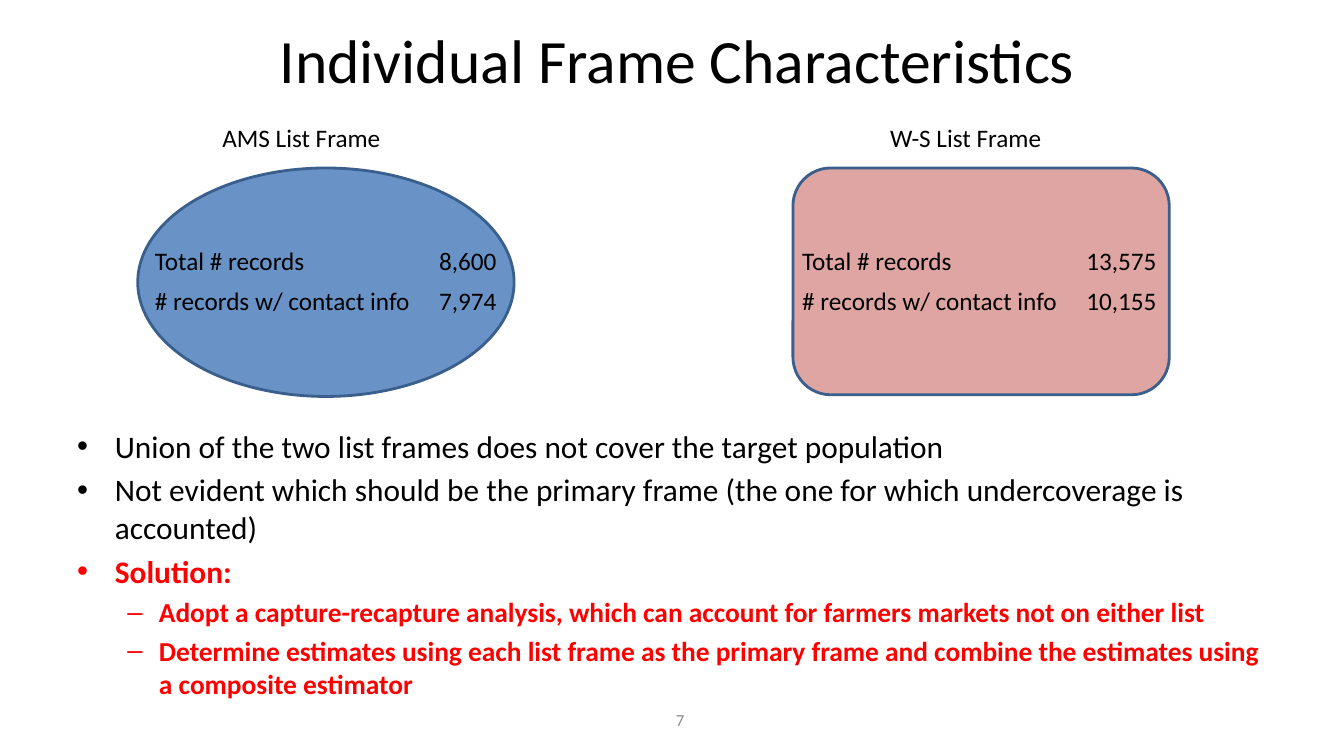
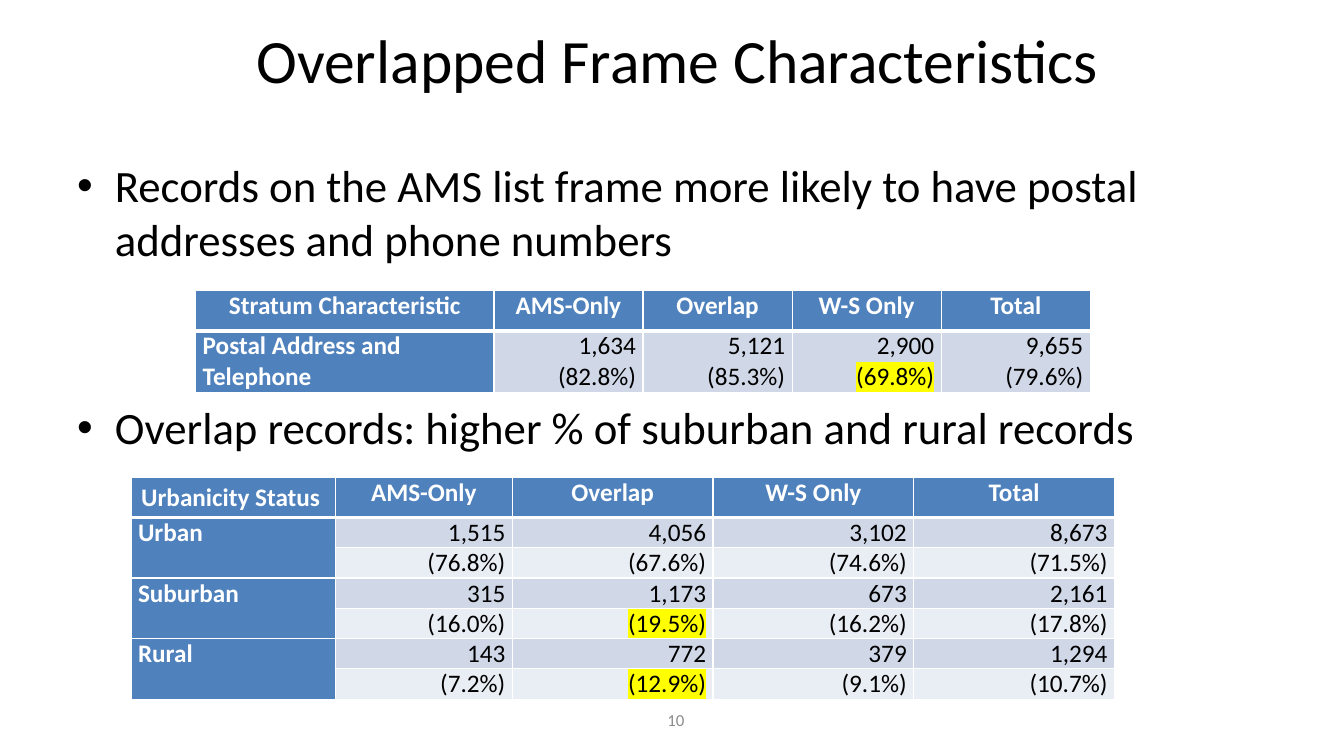
from dataclasses import dataclass

from lxml import etree
from pptx import Presentation
from pptx.dml.color import RGBColor
from pptx.enum.shapes import MSO_SHAPE as Shape
from pptx.enum.text import MSO_ANCHOR as Anchor, PP_ALIGN as Align
from pptx.oxml import parse_xml
from pptx.oxml.ns import nsdecls, qn
from pptx.util import Emu, Inches, Pt

COLUMNS, ROWS = 160, 90
CELL = Inches(7.5) // ROWS  # the grid is square


@dataclass(frozen=True)
class Theme:
    font: str = "Calibri"
    ink: str = "000000"
    muted: str = "8C8C8C"
    alert: str = "FF0000"
    white: str = "FFFFFF"
    blue: str = "4F81BD"
    rose: str = "D99694"
    outline: str = "3A5F8C"
    band_dark: str = "D0D8E8"
    band_light: str = "E9EDF4"
    marker: str = "FFFF00"
    title: float = 44
    large: float = 32
    body: float = 22.4
    sub: float = 19.6
    label: float = 18
    footer: float = 12


THEME = Theme()
PLAIN_TABLE = "{2D5ABB26-0587-4C30-8999-92F81FD0307C}"


@dataclass(frozen=True)
class Box:
    """A region in grid columns and rows."""
    col: float
    row: float
    cols: float
    rows: float

    def inner(self, col, row, cols, rows):
        return Box(self.col + col, self.row + row, cols, rows)

    def emu(self):
        return [grid(n) for n in (self.col, self.row, self.cols, self.rows)]


def grid(count):
    return Emu(round(count * CELL))


TITLE = Box(13.33, 0, 134.67, 14)
PAGE_NUMBER = Box(45.33, 83.33, 37.33, 4.8)


def write(paragraph, text, size=THEME.label, color=THEME.ink, bold=False,
          align=Align.LEFT, before=0, marked=""):
    """Write text into a paragraph; its ending `marked` is highlighted."""
    paragraph.alignment = align
    if before:
        paragraph.space_before = Pt(before)
    for words in filter(None, (text.removesuffix(marked), marked)):
        run = paragraph.add_run()
        run.text = words
        font = run.font
        font.size, font.bold = Pt(size), bold
        font.color.rgb = RGBColor.from_string(color)
        if words == marked:
            highlight = etree.SubElement(font._element, qn("a:highlight"))
            etree.SubElement(highlight, qn("a:srgbClr"), val=THEME.marker)
        font.name = THEME.font


def add_text(slide, box, text, anchor=Anchor.TOP, **style):
    frame = text_frame(slide, box, anchor)
    write(frame.paragraphs[0], text, **style)


def text_frame(slide, box, anchor=Anchor.TOP):
    frame = slide.shapes.add_textbox(*box.emu()).text_frame
    frame.word_wrap = True
    frame.vertical_anchor = anchor
    return frame


def add_bullets(slide, box, items):
    """Items are (text, level, style) triples."""
    frame = text_frame(slide, box)
    for index, (text, level, style) in enumerate(items):
        paragraph = frame.add_paragraph() if index else frame.paragraphs[0]
        indent, hang, sign = ((4.5, 4.5, "•"), (9.75, 3.75, "–"))[level]
        properties = paragraph._p.get_or_add_pPr()
        properties.set("marL", str(grid(indent)))
        properties.set("indent", str(-grid(hang)))
        etree.SubElement(properties, qn("a:buFont"), typeface="Arial")
        etree.SubElement(properties, qn("a:buChar"), char=sign)
        write(paragraph, text, **style)


def new_slide(deck, title, number):
    slide = deck.slides.add_slide(deck.slide_layouts[6])
    add_text(slide, TITLE, title, Anchor.MIDDLE, size=THEME.title, align=Align.CENTER)
    add_text(slide, PAGE_NUMBER, number, Anchor.MIDDLE, size=THEME.footer,
             color=THEME.muted, align=Align.RIGHT)
    return slide


def add_plain_table(slide, box, widths, heights):
    table_frame = slide.shapes.add_table(len(heights), len(widths), *box.emu())
    table = table_frame.table
    table.first_row = table.horz_banding = False
    table._tbl.tblPr.find(qn("a:tableStyleId")).text = PLAIN_TABLE
    for column, width in zip(table.columns, widths):
        column.width = grid(width)
    for row, height in zip(table.rows, heights):
        row.height = grid(height)
    return table


def add_list_frame(slide, box, outline, fill, name, name_at, records, records_at):
    """A named, tinted shape with its record counts inside."""
    shape = slide.shapes.add_shape(outline, *box.emu())
    shape.shadow.inherit = False
    shape.fill.solid()
    shape.fill.fore_color.rgb = RGBColor.from_string(fill)
    tint = shape._element.spPr.find(qn("a:solidFill"))[0]
    etree.SubElement(tint, qn("a:alpha"), val="85000")
    shape.line.color.rgb = RGBColor.from_string(THEME.outline)
    shape.line.width = Pt(2)
    add_text(slide, box.inner(name_at, -6, 27.6, 4.8), name)

    table = add_plain_table(slide, box.inner(records_at, 8.7, 44.8, 9.6),
                            (33.84, 10.96), (4.8, 4.8))
    for r, record in enumerate(zip(("Total # records", "# records w/ contact info"), records)):
        for c, text in enumerate(record):
            write(table.cell(r, c).text_frame.paragraphs[0], text)


def draw_borders(cell, **widths):
    """Draw the four sides (L, R, T, B) in white, ahead of the cell's fill."""
    properties = cell._tc.get_or_add_tcPr()
    for place, side in enumerate("LRTB"):
        properties.insert(place, parse_xml(
            f'<a:ln{side} {nsdecls("a")} w="{Pt(widths.get(side, 1))}"><a:solidFill>'
            f'<a:srgbClr val="{THEME.white}"/></a:solidFill></a:ln{side}>'))


def add_stratum_table(slide, box, widths, heights, header, rows, marked, label_rows=1):
    """A banded table whose row labels each span `label_rows` rows."""
    table = add_plain_table(slide, box, widths, heights)
    for r, row in enumerate([header, *rows]):
        for c, text in enumerate(row):
            cell = table.cell(r, c)
            heading = r == 0 or c == 0
            band = THEME.band_dark if r % 2 else THEME.band_light
            cell.fill.solid()
            cell.fill.fore_color.rgb = RGBColor.from_string(THEME.blue if heading else band)
            draw_borders(cell, T=3 if r == 1 else 1, B=3 if r == 0 else 1)
            cell.margin_left = cell.margin_right = Inches(0.07)
            cell.margin_top = cell.margin_bottom = 0
            if text:
                align = Align.CENTER if r == 0 else Align.LEFT if c == 0 else Align.RIGHT
                write(cell.text_frame.paragraphs[0], text, align=align, bold=heading,
                      color=THEME.white if heading else THEME.ink,
                      marked=next((m for m in marked if text.endswith(m)), ""))
    if label_rows > 1:
        for top in range(1, len(rows) + 1, label_rows):
            table.cell(top, 0).merge(table.cell(top + label_rows - 1, 0))
    return table


def individual_frames(deck):
    slide = new_slide(deck, "Individual Frame Characteristics", "7")
    add_list_frame(slide, Box(16.4, 20, 44.8, 27.2), Shape.OVAL, THEME.blue,
                   "AMS List Frame", 8.9, ("8,600", "7,974"), 0.84)
    add_list_frame(slide, Box(94.4, 20, 44.8, 27), Shape.ROUNDED_RECTANGLE, THEME.rose,
                   "W-S List Frame", 10.4, ("13,575", "10,155"), -0.1)
    point = dict(size=THEME.body, before=4.5)
    solution = dict(color=THEME.alert, bold=True)
    step = dict(solution, size=THEME.sub, before=4)
    add_bullets(slide, Box(8, 50.2, 144, 30.6), [
        ("Union of the two list frames does not cover the target population", 0,
         dict(size=THEME.body)),
        ("Not evident which should be the primary frame (the one for which "
         "undercoverage is accounted)", 0, point),
        ("Solution:", 0, point | solution),
        ("Adopt a capture-recapture analysis, which can account for farmers "
         "markets not on either list", 1, step),
        ("Determine estimates using each list frame as the primary frame and "
         "combine the estimates using a composite estimator", 1, step),
    ])


def overlapped_frames(deck):
    slide = new_slide(deck, "Overlapped Frame Characteristics", "10")
    add_bullets(slide, Box(8, 18.2, 144, 60), [
        ("Records on the AMS list frame more likely to have postal addresses "
         "and phone numbers", 0, dict(size=THEME.large)),
        ("Overlap records: higher % of suburban and rural records", 0,
         dict(size=THEME.large, before=96)),
    ])
    strata = ("AMS-Only", "Overlap", "W-S Only", "Total")
    urbanicity = add_stratum_table(
        slide, Box(15.6, 56.8, 117, 26.4), (24.3, 21.1, 23.9, 23.9, 23.9), [4.8] + [3.6] * 6,
        ("Urbanicity Status", *strata), [
            ("Urban", "1,515", "4,056", "3,102", "8,673"),
            ("", "(76.8%)", "(67.6%)", "(74.6%)", "(71.5%)"),
            ("Suburban", "315", "1,173", "673", "2,161"),
            ("", "(16.0%)", "(19.5%)", "(16.2%)", "(17.8%)"),
            ("Rural", "143", "772", "379", "1,294"),
            ("", "(7.2%)", "(12.9%)", "(9.1%)", "(10.7%)"),
        ], marked=("(19.5%)", "(12.9%)"), label_rows=2)
    corner = urbanicity.cell(0, 0)
    corner.margin_left = corner.margin_right = Inches(0.1)
    corner.margin_top = corner.margin_bottom = Inches(0.05)
    corner.text_frame.paragraphs[0].alignment = Align.LEFT
    add_stratum_table(
        slide, Box(23.3, 34.6, 106.5, 12.1), [35.5] + [17.75] * 4, (4.8, 7.3),
        ("Stratum Characteristic", *strata),
        [("Postal Address and Telephone", "1,634 (82.8%)", "5,121 (85.3%)",
          "2,900 (69.8%)", "9,655 (79.6%)")], marked=("(69.8%)",))


def main():
    deck = Presentation()
    deck.slide_width, deck.slide_height = grid(COLUMNS), grid(ROWS)
    individual_frames(deck)
    overlapped_frames(deck)
    deck.save("out.pptx")


if __name__ == "__main__":
    main()
